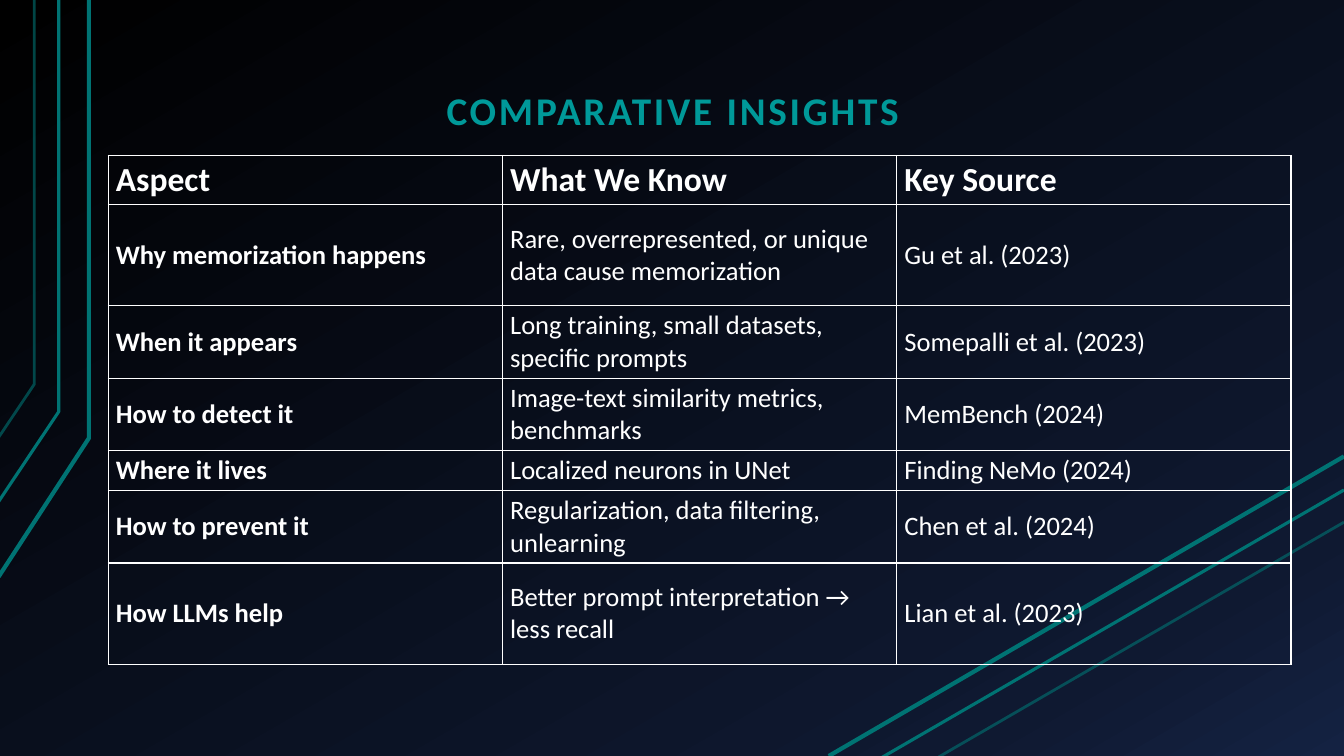
from lxml import etree
from pptx import Presentation
from pptx.dml.color import RGBColor
from pptx.enum.text import MSO_ANCHOR, MSO_AUTO_SIZE, PP_ALIGN
from pptx.oxml import parse_xml
from pptx.oxml.ns import nsdecls, qn
from pptx.util import Pt

FONT = "Calibri"
COLORS = {"white": "FFFFFF", "title": "009999", "stripe": "007373"}
BACKGROUND_STOPS = [(0, "000000"), (85, "0F1931"), (100, "142242")]
STRIPE_STYLES = [(3, 100), (2.25, 100), (2, 60)]  # width, opacity in percent
LEFT_STRIPES = [
    [(-1, 412), (63.5, 313), (63.5, 0)],
    [(-1.5, 359), (42, 294), (42, 0)],
    [(-1, 312.5), (24.5, 274.5), (24.5, 0)],
]
RIGHT_STRIPES = [
    [(592, 540), (960, 326)],
    [(630, 541), (960, 350)],
    [(670, 541), (960, 373)],
]
ROWS = [
    ("Aspect", "What We Know", "Key Source"),
    ("Why memorization happens",
     "Rare, overrepresented, or unique data cause memorization",
     "Gu et al. (2023)"),
    ("When it appears", "Long training, small datasets, specific prompts",
     "Somepalli et al. (2023)"),
    ("How to detect it", "Image-text similarity metrics, benchmarks",
     "MemBench (2024)"),
    ("Where it lives", "Localized neurons in UNet", "Finding NeMo (2024)"),
    ("How to prevent it", "Regularization, data filtering, unlearning",
     "Chen et al. (2024)"),
    ("How LLMs help", "Better prompt interpretation → less recall",
     "Lian et al. (2023)"),
]
ROW_HEIGHTS = [35, 72.5, 51.5, 51.5, 28.5, 51.5, 72.5]


def rgb(name):
    return RGBColor.from_string(COLORS[name])


def add_run(p, text, size, color, bold):
    r = p.add_run()
    r.text = text
    r.font.name = FONT
    r.font.size = Pt(size)
    r.font.bold = bold
    r.font.color.rgb = rgb(color)
    return r


def set_margins(box, horizontal, vertical):
    box.margin_left = box.margin_right = Pt(horizontal)
    box.margin_top = box.margin_bottom = Pt(vertical)


def paint_background(s):
    fill = s.background.fill
    fill.gradient()
    fill.gradient_angle = 300
    stops = s.background._cSld.find(".//" + qn("a:gsLst"))
    for stop in list(stops):
        stops.remove(stop)
    for position, color in BACKGROUND_STOPS:
        stops.append(parse_xml(
            f'<a:gs {nsdecls("a")} pos="{position * 1000}">'
            f'<a:srgbClr val="{color}"/></a:gs>'))


def style_stripe(sp, width, opacity):
    sp.line.width = Pt(width)
    sp.line.color.rgb = rgb("stripe")
    if opacity < 100:
        color = sp.line._ln.find(".//" + qn("a:srgbClr"))
        etree.SubElement(color, qn("a:alpha")).set("val", str(opacity * 1000))


def add_left_stripes(s):
    for points, style in zip(LEFT_STRIPES, STRIPE_STYLES):
        start, *rest = [(Pt(x), Pt(y)) for x, y in points]
        builder = s.shapes.build_freeform(*start)
        builder.add_line_segments(rest, close=False)
        sp = builder.convert_to_shape()
        sp.fill.background()
        sp.shadow.inherit = False
        style_stripe(sp, *style)


def add_right_stripes(s):
    for (start, end), style in zip(RIGHT_STRIPES, STRIPE_STYLES):
        sp = s.shapes.add_connector(1, *[Pt(v) for v in start + end])
        style_stripe(sp, *style)
        etree.SubElement(sp._element.spPr, qn("a:effectLst"))


def place_title(s, left, top, width, height):
    sp = s.shapes.title
    sp.left, sp.top, sp.width, sp.height = map(Pt, (left, top, width, height))
    tf = sp.text_frame
    tf.word_wrap = True
    tf.auto_size = MSO_AUTO_SIZE.NONE
    tf.vertical_anchor = MSO_ANCHOR.TOP
    set_margins(tf, 9.5, 5)
    p = tf.paragraphs[0]
    p.alignment = PP_ALIGN.LEFT
    p.line_spacing = 0.9
    p.space_before = Pt(0)
    r = add_run(p, "COMPARATIVE INSIGHTS", 28, "title", True)
    r.font._element.set("spc", "200")


def format_cell(cell):
    tc_pr = cell._tc.get_or_add_tcPr()
    for side in ("lnL", "lnR", "lnT", "lnB"):
        tc_pr.append(parse_xml(
            f'<a:{side} {nsdecls("a")} w="{Pt(1)}"><a:solidFill>'
            f'<a:srgbClr val="{COLORS["white"]}"/></a:solidFill></a:{side}>'))
    cell.fill.background()
    cell.vertical_anchor = MSO_ANCHOR.MIDDLE
    set_margins(cell, 5.5, 2.8)


def add_insights_table(s, left, top, width):
    columns = len(ROWS[0])
    frame = s.shapes.add_table(len(ROWS), columns, Pt(left), Pt(top),
                               Pt(width), Pt(sum(ROW_HEIGHTS)))
    table = frame.table
    table.first_row = table.horz_banding = False
    for column in table.columns:
        column.width = Pt(width / columns)
    for i, (texts, height) in enumerate(zip(ROWS, ROW_HEIGHTS)):
        table.rows[i].height = Pt(height)
        for j, text in enumerate(texts):
            cell = table.cell(i, j)
            format_cell(cell)
            add_run(cell.text_frame.paragraphs[0], text,
                    24 if i == 0 else 19, "white", i == 0 or j == 0)


def add_insights_slide(prs):
    s = prs.slides.add_slide(prs.slide_layouts[5])
    paint_background(s)
    add_left_stripes(s)
    add_right_stripes(s)
    place_title(s, 309.5, 60.5, 556.5, 48)
    add_insights_table(s, 77.25, 111, 845)


def main():
    prs = Presentation()
    prs.slide_width, prs.slide_height = Pt(960), Pt(540)
    add_insights_slide(prs)
    prs.save("out.pptx")


if __name__ == "__main__":
    main()
